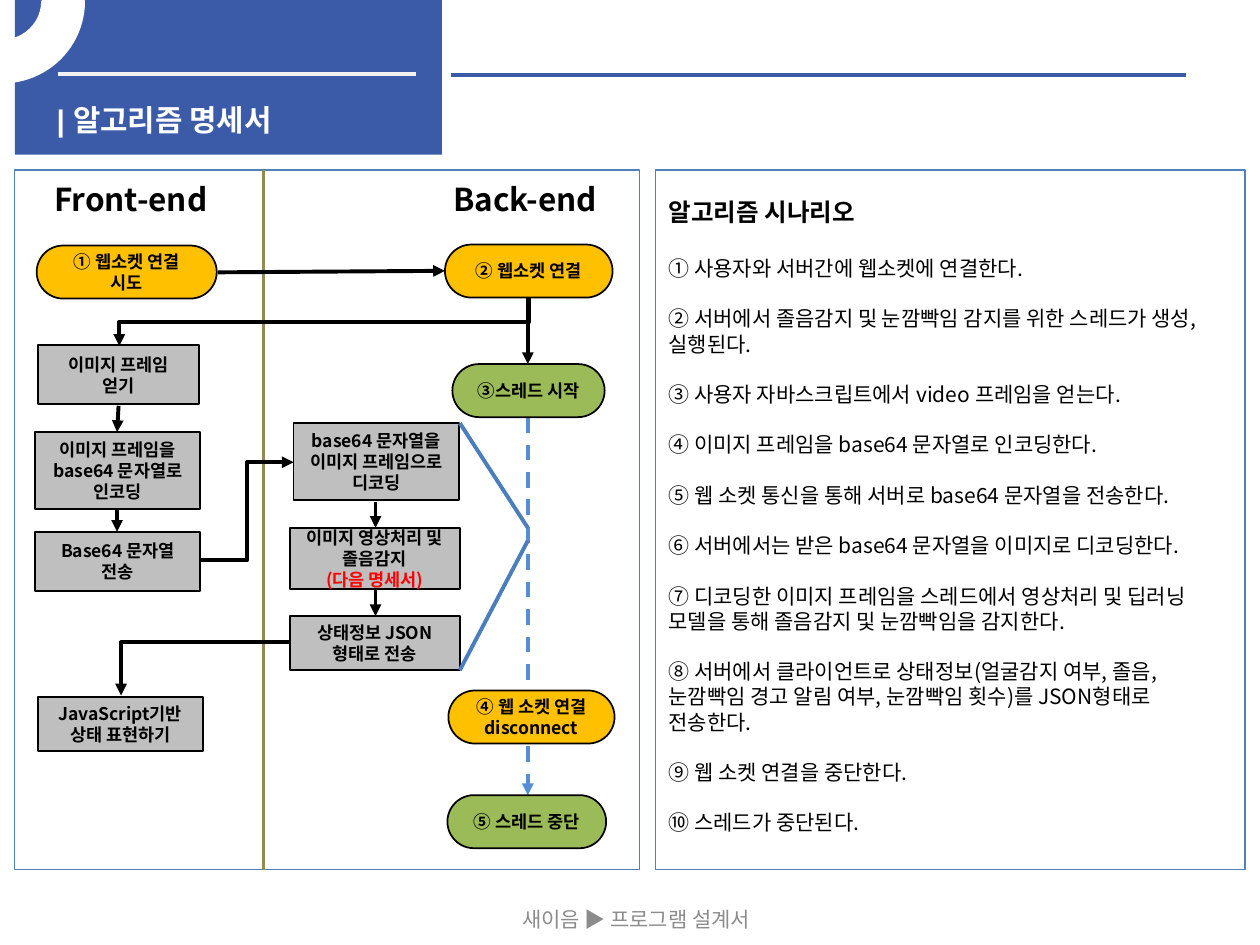
"""Build the algorithm specification slide: a flow diagram beside its scenario."""
from dataclasses import dataclass

from lxml.etree import SubElement
from pptx import Presentation
from pptx.dml.color import RGBColor
from pptx.enum.dml import MSO_LINE
from pptx.enum.shapes import MSO_CONNECTOR as Link, MSO_SHAPE as Shape
from pptx.enum.text import MSO_ANCHOR as Anchor, PP_ALIGN as Align
from pptx.oxml.ns import qn
from pptx.util import Cm, Pt

FONT = "Noto Sans CJK KR"
BLUE, AMBER, GREEN, GRAY = "3B5AA8", "FFC000", "9BBB59", "BFBFBF"
BLACK, WHITE, RED = "000000", "FFFFFF", "FF0000"


@dataclass
class Node:
    text: str
    left: float
    top: float
    width: float
    height: float = 1.07
    fill: str = GRAY
    kind: Shape = Shape.RECTANGLE
    note: str = ""


@dataclass
class Line:
    x1: float
    y1: float
    x2: float
    y2: float
    color: str = BLACK
    width: float = 2.25
    arrow: bool = True
    dashed: bool = False
    kind: Link = Link.STRAIGHT
    turn: int = 0
    preset: str = ""


PILL = Shape.ROUNDED_RECTANGLE
NODES = [
    Node("① 웹소켓 연결 시도", 0.74, 4.95, 3.63, fill=AMBER, kind=PILL),
    Node("② 웹소켓 연결", 8.97, 4.93, 3.38, fill=AMBER, kind=PILL),
    Node("③스레드 시작", 9.12, 7.34, 3.07, fill=GREEN, kind=PILL),
    Node("④ 웹 소켓 연결 disconnect", 9.04, 13.92, 3.35, fill=AMBER, kind=PILL),
    Node("⑤ 스레드 중단", 9.02, 16.03, 3.2, fill=GREEN, kind=PILL),
    Node("이미지 프레임\n얻기", 0.76, 6.96, 3.25, 1.19),
    Node("이미지 프레임을 base64 문자열로 인코딩", 0.71, 8.71, 3.33, 1.55),
    Node("Base64 문자열 전송", 0.71, 10.72, 3.33, 1.19),
    Node("base64 문자열을 이미지 프레임으로 디코딩", 5.92, 8.53, 3.33, 1.55),
    Node("이미지 영상처리 및 졸음감지", 5.84, 10.64, 3.43, 1.24, note="(다음 명세서)"),
    Node("상태정보 JSON\n형태로 전송", 5.84, 12.42, 3.43, 1.09),
    Node("JavaScript기반\n상태 표현하기", 0.76, 14.05, 3.33, 1.09),
]
THREAD_LIFE = Line(10.64, 8.41, 10.64, 16.03, "558ED5", dashed=True)
RULES = [
    Line(1.17, 1.5, 8.38, 1.5, "F2F2F2", arrow=False),
    Line(9.09, 1.52, 23.9, 1.52, BLUE, arrow=False),
    Line(5.31, 3.43, 5.31, 17.53, "948A54", 1.5, arrow=False),
]
FLOW = [
    Line(4.39, 5.49, 8.97, 5.46),
    Line(10.64, 5.99, 10.64, 7.34),
    Line(2.39, 8.18, 2.36, 8.71),
    Line(2.36, 10.26, 2.36, 10.72),
    Line(7.57, 10.11, 7.57, 10.64),
    Line(7.57, 11.89, 7.57, 12.42),
    Line(10.64, 10.64, 9.27, 8.53, "4B7EBC", arrow=False),
    Line(10.64, 10.9, 9.27, 13.51, "4B7EBC", arrow=False),
    Line(4.04, 11.3, 5.92, 9.32, kind=Link.ELBOW),
    Line(6.05, 2.36, 7.02, 10.62, kind=Link.ELBOW, turn=90),
    Line(2.44, 14.02, 5.87, 12.95, kind=Link.ELBOW, turn=180, preset="bentConnector2"),
]
SCENARIO = [
    "① 사용자와 서버간에 웹소켓에 연결한다.",
    "② 서버에서 졸음감지 및 눈깜빡임 감지를 위한 스레드가 생성, 실행된다.",
    "③ 사용자 자바스크립트에서 video 프레임을 얻는다.",
    "④ 이미지 프레임을 base64 문자열로 인코딩한다.",
    "⑤ 웹 소켓 통신을 통해 서버로 base64 문자열을 전송한다.",
    "⑥ 서버에서는 받은 base64 문자열을 이미지로 디코딩한다.",
    "⑦ 디코딩한 이미지 프레임을 스레드에서 영상처리 및 딥러닝 모델을 통해 졸음감지 및 눈깜빡임을 감지한다.",
    "⑧ 서버에서 클라이언트로 상태정보(얼굴감지 여부, 졸음, 눈깜빡임 경고 알림 여부, "
    "눈깜빡임 횟수)를 JSON형태로 전송한다.",
    "⑨ 웹 소켓 연결을 중단한다.",
    "⑩ 스레드가 중단된다.",
]


def paint(target, color: str) -> None:
    target.solid()
    target.fore_color.rgb = RGBColor.from_string(color)


def write(frame, text: str, size: float, color: str = BLACK, bold: bool = True,
          align: Align = Align.LEFT, gap: float = 0, font: str = FONT) -> None:
    frame.word_wrap = True
    for line in text.split("\n"):
        first = not frame.paragraphs[0].runs
        para = frame.paragraphs[0] if first else frame.add_paragraph()
        para.add_run().text = line
        para.alignment = align
        para.line_spacing = Pt(size * 1.2)
        if gap:
            para.space_before = Pt(gap)
        para.font.size, para.font.bold, para.font.name = Pt(size), bold, font
        paint(para.font.fill, color)
        SubElement(para._p.pPr.find(qn("a:defRPr")), qn("a:ea"), typeface=FONT)


def add_box(page, left: float, top: float, width: float, height: float):
    return page.shapes.add_textbox(Cm(left), Cm(top), Cm(width), Cm(height)).text_frame


def add_shape(page, kind: Shape, left: float, top: float, width: float, height: float,
              fill: str = "", line: str = "", weight: float = 1):
    shape = page.shapes.add_shape(kind, Cm(left), Cm(top), Cm(width), Cm(height))
    shape.shadow.inherit = False
    if fill:
        paint(shape.fill, fill)
    else:
        shape.fill.background()
    if line:
        paint(shape.line.fill, line)
        shape.line.width = Pt(weight)
    else:
        shape.line.fill.background()
    return shape


def add_node(page, node: Node) -> None:
    shape = add_shape(page, node.kind, node.left, node.top, node.width, node.height,
                      node.fill, BLACK)
    if node.kind == PILL:
        shape.adjustments[0] = 0.5
    frame = shape.text_frame
    frame.vertical_anchor = Anchor.MIDDLE
    write(frame, node.text, 10, align=Align.CENTER)
    if node.note:
        write(frame, node.note, 10, RED, align=Align.CENTER)


def add_line(page, line: Line) -> None:
    link = page.shapes.add_connector(line.kind, Cm(line.x1), Cm(line.y1),
                                     Cm(line.x2), Cm(line.y2))
    paint(link.line.fill, line.color)
    link.line.width = Pt(line.width)
    if line.dashed:
        link.line.dash_style = MSO_LINE.DASH
    properties = link._element.spPr
    if line.arrow:
        SubElement(properties.find(qn("a:ln")), qn("a:tailEnd"), type="triangle")
    if line.turn:
        properties.find(qn("a:xfrm")).set("rot", str(line.turn * 60000))
    if line.preset:
        properties.find(qn("a:prstGeom")).set("prst", line.preset)
    SubElement(properties, qn("a:effectLst"))


def main() -> None:
    deck = Presentation()
    deck.slide_width, deck.slide_height = Cm(25.4), Cm(19.05)
    page = deck.slides.add_slide(deck.slide_layouts[6])

    add_line(page, THREAD_LIFE)
    add_shape(page, Shape.RECTANGLE, 0.3, 0, 8.61, 3.12, BLUE)
    arc = add_shape(page, Shape.BLOCK_ARC, -1.6, -1.6, 3.28, 3.25, WHITE, WHITE, 2)
    for index, value in enumerate((161.59, 0, 0.25)):
        arc.adjustments[index] = value
    arc._element.spPr.find(qn("a:xfrm")).set("flipV", "1")
    write(add_box(page, 0.89, 1.93, 7.8, 0.81), "| 알고리즘 명세서", 17, WHITE, font="Arial")

    for left, width in ((0.3, 12.6), (13.21, 11.89)):
        add_shape(page, Shape.RECTANGLE, left, 3.43, width, 14.1, line="4F81BD", weight=0.75)
    for rule in RULES:
        add_line(page, rule)
    for left, label in ((0.84, "Front-end"), (8.89, "Back-end")):
        write(add_box(page, left, 3.51, 5.46, 1.02), label, 18)
    for node in NODES:
        add_node(page, node)
    for line in FLOW:
        add_line(page, line)

    scenario = add_box(page, 13.23, 3.84, 11.79, 13.26)
    write(scenario, "알고리즘 시나리오", 14)
    for index, sentence in enumerate(SCENARIO):
        write(scenario, sentence, 12, bold=False, gap=14.4 if index else 16.8)

    footer = add_box(page, 7.11, 18.01, 11.43, 1.02)
    footer.vertical_anchor = Anchor.MIDDLE
    write(footer, "새이음 ▶ 프로그램 설계서", 12, "8C8C8C", False, Align.CENTER)
    deck.save("out.pptx")


if __name__ == "__main__":
    main()
